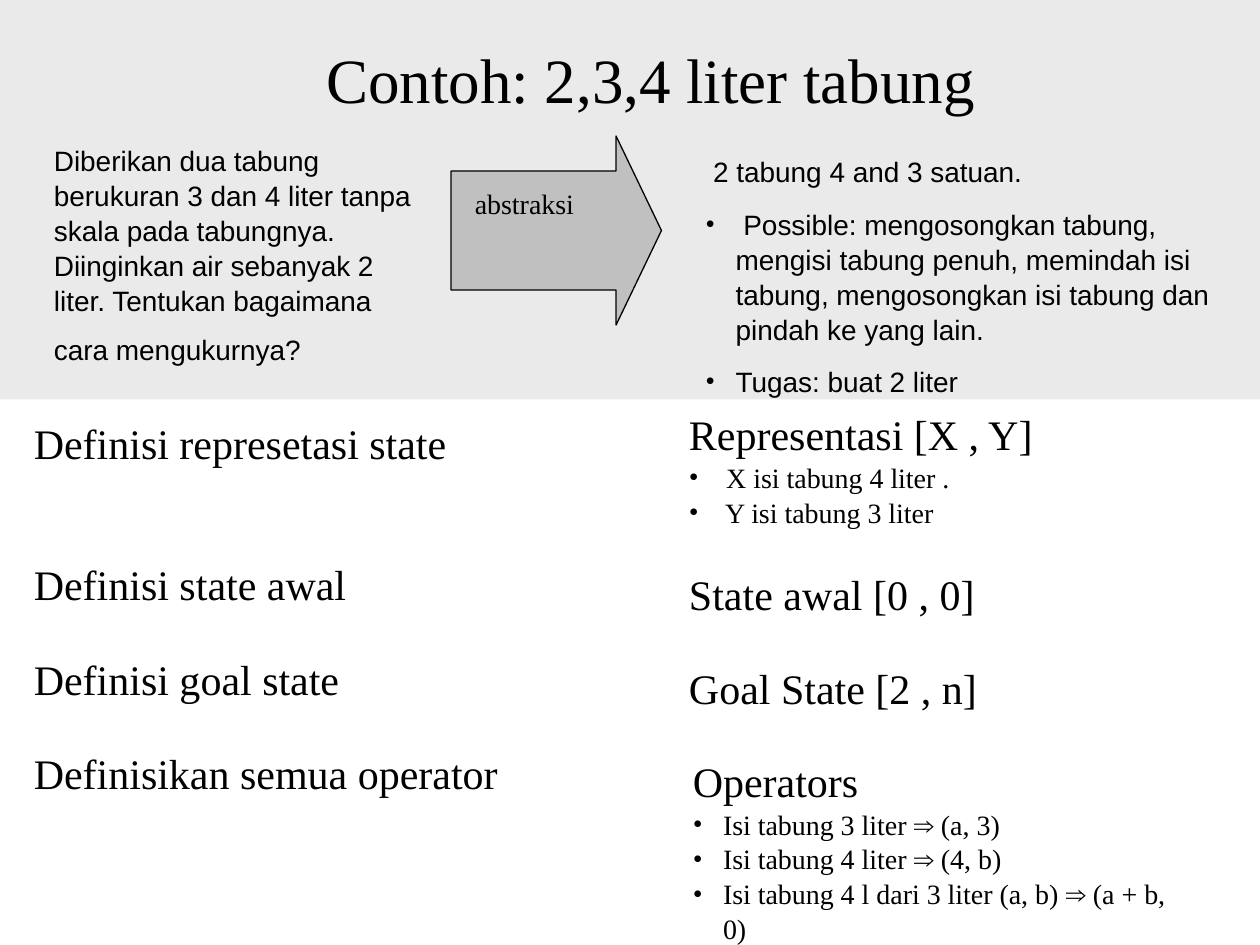
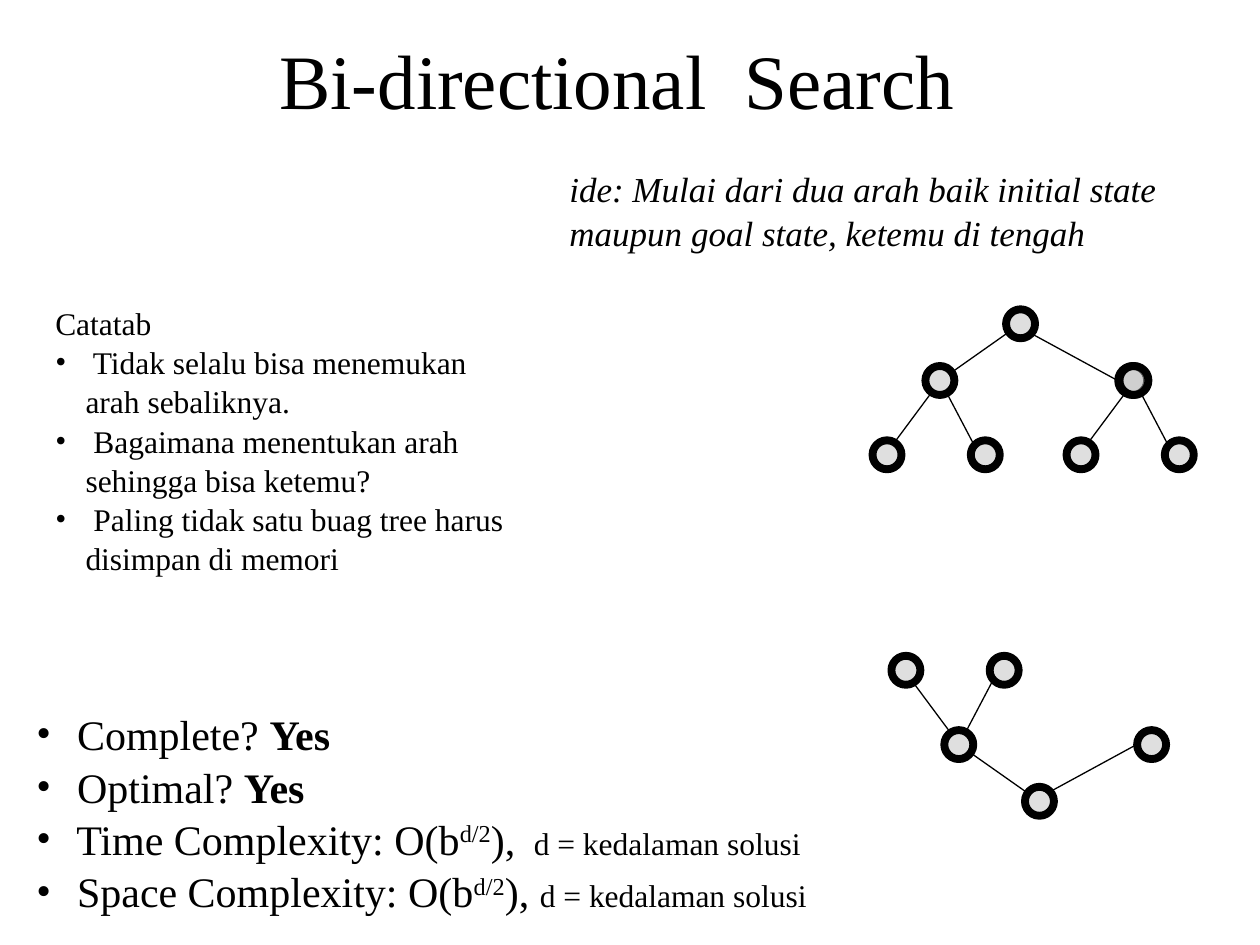
from lxml import etree
from pptx import Presentation
from pptx.dml.color import RGBColor
from pptx.enum.shapes import MSO_CONNECTOR as CONN, MSO_SHAPE as SHAPE
from pptx.enum.text import MSO_ANCHOR as ANCHOR, PP_ALIGN as ALIGN
from pptx.oxml.ns import qn
from pptx.util import Inches, Pt

COLORS = {"text": "000000", "band": "EAEAEA", "gray": "C0C0C0"}
SERIF, SANS = "Times New Roman", "Arial"
NODE = 0.23
LINE_SPACING = 1.04
BULLET_INDENT = 0.24


def rgb(name):
    return RGBColor.from_string(COLORS[name])


class Deck:
    def __init__(self):
        self.prs = Presentation()
        self.prs.slide_width, self.prs.slide_height = Inches(10), Inches(7.5)
        self.s = None

    def slide(self, title, x, w, size):
        self.s = self.prs.slides.add_slide(self.prs.slide_layouts[5])
        sp = self.s.shapes.title
        sp.left, sp.top, sp.width, sp.height = map(Inches, (x, 0, w, 1.25))
        tf = sp.text_frame
        tf.vertical_anchor = ANCHOR.MIDDLE
        p = tf.paragraphs[0]
        p.alignment = ALIGN.CENTER
        self.run(p, title, size)

    def run(self, p, text, size, font=SERIF, bold=False, italic=False, sup=False):
        r = p.add_run()
        r.text = text
        f = r.font
        f.size, f.name, f.bold, f.italic = Pt(size), font, bold, italic
        f.color.rgb = rgb("text")
        if sup:
            r._r.get_or_add_rPr().set("baseline", "30000")

    def bullet(self, p):
        pPr = p._p.get_or_add_pPr()
        indent = Inches(BULLET_INDENT)
        pPr.set("marL", str(indent))
        pPr.set("indent", str(-indent))
        etree.SubElement(pPr, qn("a:buFont")).set("typeface", SERIF)
        etree.SubElement(pPr, qn("a:buChar")).set("char", "•")

    def text(self, x, y, w, h, paras, size=16, font=SERIF, bullets=True, gap=0):
        """Each paragraph is a string or a list of (text, format) runs.
        bullets: True for all, or the index of the first bulleted paragraph."""
        tf = self.s.shapes.add_textbox(*map(Inches, (x, y, w, h))).text_frame
        tf.word_wrap = True
        for i, runs in enumerate(paras):
            p = tf.paragraphs[0] if i == 0 else tf.add_paragraph()
            p.line_spacing = LINE_SPACING
            p.space_before = p.space_after = Pt(gap)
            if bullets is not None and i >= bullets:
                self.bullet(p)
            for text, fmt in [(runs, {})] if isinstance(runs, str) else runs:
                if text == "\n":
                    p.add_line_break()
                else:
                    self.run(p, text, **{"size": size, "font": font, **fmt})

    def label(self, x, y, text):
        self.text(x, y, 4.2, 0.5, [text], size=24, bullets=None)

    def shape(self, kind, x, y, w, h, fill, line=None, parent=None):
        sp = (parent or self.s).shapes.add_shape(kind, *map(Inches, (x, y, w, h)))
        sp.shadow.inherit = False
        sp.fill.solid()
        sp.fill.fore_color.rgb = rgb(fill)
        if line:
            sp.line.color.rgb = rgb("text")
            sp.line.width = Pt(line)
        else:
            sp.line.fill.background()
        return sp

    def node(self, group, x, y):
        sp = self.shape(SHAPE.OVAL, x - NODE / 2, y - NODE / 2, NODE, NODE,
                        "gray", 4.5, group)
        clr = sp.element.spPr.find(qn("a:solidFill")).find(qn("a:srgbClr"))
        etree.SubElement(clr, qn("a:alpha")).set("val", "50000")

    def edge(self, group, x1, y1, x2, y2):
        c = group.shapes.add_connector(CONN.STRAIGHT, *map(Inches, (x1, y1, x2, y2)))
        c.line.color.rgb = rgb("text")
        c.line.width = Pt(0.75)
        etree.SubElement(c._element.spPr, qn("a:effectLst"))

    def fan(self, group, x, y, way, branches):
        """A node and its children; way is 1 for downwards, -1 for upwards.
        A branch is (child offset, edge start offset, edge end offset)."""
        self.node(group, x, y)
        for (dx, dy), (ax, ay), (bx, by) in branches:
            cx, cy = x + dx, y + way * dy
            self.node(group, cx, cy)
            self.edge(group, x + ax, y + way * ay, cx + bx, cy + way * by)


# Branches of the search trees
ROOT = [((-0.64, 0.45), (-0.1, 0.07), (0.1, -0.07)),
        ((0.89, 0.45), (0.09, 0.08), (-0.12, 0))]
LEAVES = [((-0.42, 0.59), (-0.07, 0.1), (0.06, -0.1)),
          ((0.36, 0.59), (0.06, 0.11), (-0.09, -0.08))]


def tree(deck, x, y, way, parents):
    """Root fan, then leaves under the parents at the given x offsets."""
    group = deck.s.shapes.add_group_shape()
    deck.fan(group, x, y, way, ROOT[:1])
    (dx, dy), (ax, ay), (bx, by) = ROOT[1]
    deck.node(group, x + dx, y + way * dy)
    deck.edge(group, x + ax, y + way * ay, x + dx + bx, y + way * (dy + by))
    for offset in parents:
        px, py = x + offset, y + way * dy
        if offset > 0:
            deck.node(group, px, py)
        for (lx, ly), (sx, sy), (ex, ey) in LEAVES:
            deck.node(group, px + lx, py + way * ly)
            deck.edge(group, px + sx, py + way * sy,
                      px + lx + ex, py + way * (ly + ey))


def water_jugs(deck):
    deck.slide("Contoh: 2,3,4 liter tabung", 0.33, 9.67, 36)
    band = deck.shape(SHAPE.RECTANGLE, 0, 0, 10, 3.17, "band")
    deck.s.shapes.title.element.addprevious(band.element)

    # Problem, abstraction arrow and abstract version
    deck.text(5.5, 1.17, 4.25, 2.0, [
        " 2 tabung 4 and 3 satuan.",
        " Possible: mengosongkan tabung, mengisi tabung penuh, memindah isi "
        "tabung, mengosongkan isi tabung dan pindah ke yang lain.",
        "Tugas: buat 2 liter"], font=SANS, gap=5)
    deck.text(0.33, 1.08, 3.17, 1.84, [[
        ("Diberikan dua tabung berukuran 3 dan 4 liter tanpa skala pada tabungnya.", {}),
        ("\n", {}),
        ("Diinginkan air sebanyak 2 liter. Tentukan bagaimana cara mengukurnya?", {}),
        (" ", {"size": 24})]], font=SANS, bullets=None, gap=5)
    arrow = deck.shape(SHAPE.RIGHT_ARROW, 3.58, 1.08, 1.67, 1.5, "gray", 0.75)
    arrow.adjustments[0], arrow.adjustments[1] = 0.63, 0.24
    deck.text(3.67, 1.42, 1.5, 0.77, ["abstraksi"], bullets=None)

    # Definitions on the left
    for y, text in ((3.25, "Definisi represetasi state"), (4.37, "Definisi state awal"),
                    (5.12, "Definisi goal state"), (5.87, "Definisikan semua operator")):
        deck.label(0.17, y, text)

    # Their values on the right
    big = {"size": 24}
    deck.text(5.37, 3.18, 4.2, 1.04, [
        [("Representasi [X , Y]", big)],
        " X isi tabung 4 liter .", " Y isi tabung 3 liter"], bullets=1)
    deck.label(5.37, 4.45, "State awal [0 , 0]")
    deck.label(5.37, 5.19, "Goal State [2 , n]")
    operators = (("Isi tabung 3 liter ", " (a, 3)"), ("Isi tabung 4 liter ", " (4, b)"),
                 ("Isi tabung 4 l dari 3 liter (a, b) ", " (a + b, 0)"))
    deck.text(5.4, 5.93, 4.04, 1.57, [[("Operators", big)]] + [
        [(action, {}), ("⇒", {"font": SANS}), (result, {})]
        for action, result in operators], bullets=1)


def bidirectional(deck):
    deck.slide("Bi-directional  Search", 0.65, 8.5, 44)

    # Trees growing from the start and from the goal
    tree(deck, 8.25, 6.36, -1, [-0.64])
    tree(deck, 8.1, 2.57, 1, [-0.64, 0.9])

    # Idea, properties and notes
    deck.text(4.42, 1.27, 5.41, 0.77, [[
        ("ide: Mulai dari dua arah baik initial state maupun goal state, "
         "ketemu di tengah", {"italic": True})]], size=20, bullets=None)
    small = {"size": 18}
    properties = [[(f" {name}? ", {}), ("Yes", {"bold": True})]
                  for name in ("Complete", "Optimal")]
    properties += [[(f" {name} Complexity: O(b", {}), ("d/2", {"sup": True}),
                    ("), ", {}), (depth, small)]
                   for name, depth in (("Time", " d = kedalaman solusi"),
                                       ("Space", "d = kedalaman solusi"))]
    deck.text(0.19, 5.56, 9.57, 1.7, properties, size=24, bullets=0)
    deck.text(0.34, 2.35, 3.91, 2.5, [
        "Catatab",
        " Tidak selalu bisa menemukan arah sebaliknya.",
        " Bagaimana menentukan arah sehingga bisa ketemu?",
        " Paling tidak satu buag tree harus disimpan di memori"], size=18, bullets=1)


def main():
    deck = Deck()
    water_jugs(deck)
    bidirectional(deck)
    deck.prs.save("out.pptx")


if __name__ == "__main__":
    main()
